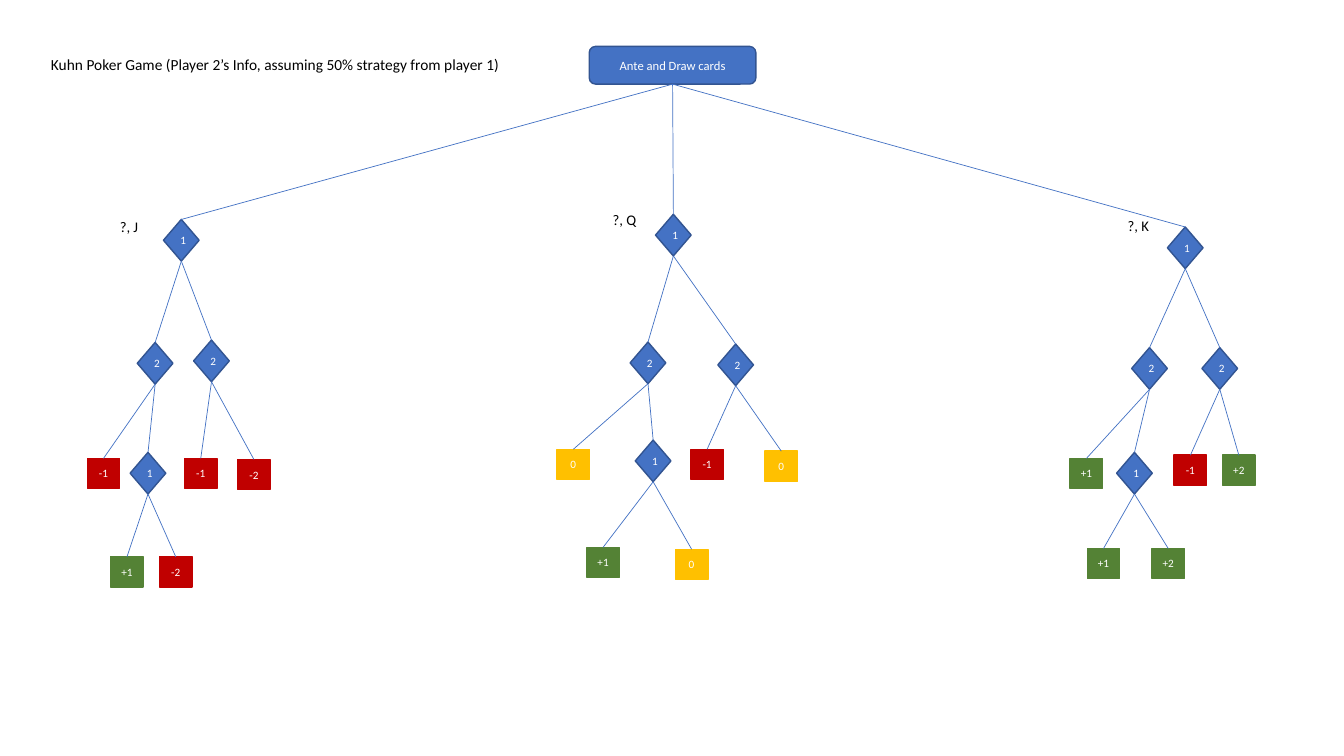
from lxml import etree
from pptx import Presentation
from pptx.dml.color import RGBColor
from pptx.enum.shapes import MSO_CONNECTOR, MSO_SHAPE
from pptx.enum.text import MSO_ANCHOR, MSO_AUTO_SIZE, PP_ALIGN
from pptx.oxml.ns import qn
from pptx.util import Cm, Pt

BLUE = RGBColor(0x44, 0x72, 0xC4)
DARK_BLUE = RGBColor(0x32, 0x54, 0x91)
GREEN = RGBColor(0x54, 0x82, 0x35)
RED = RGBColor(0xC0, 0x00, 0x00)
YELLOW = RGBColor(0xFF, 0xC0, 0x00)
WHITE = RGBColor(0xFF, 0xFF, 0xFF)
BLACK = RGBColor(0x00, 0x00, 0x00)

FONT = "Calibri"
PAYOFF_COLOURS = {"+": GREEN, "-": RED, "0": YELLOW}
TOP, BOTTOM = 0, 2

# Every tree has the same nine nodes; each entry is the index of a node's parent.
PARENTS = [None, 0, 0, 1, 1, 2, 2, 4, 4]

# Card label, its left and top, then the nodes as (text, centre x, top), in cm.
TREES = [
    ("?, J", 2.77, 5.36, [
        ("1", 4.57, 5.53), ("2", 3.91, 8.63), ("2", 5.33, 8.57),
        ("-1", 2.61, 11.55), ("1", 3.73, 11.4), ("-1", 5.06, 11.55),
        ("-2", 6.4, 11.58), ("+1", 3.2, 14.03), ("-2", 4.43, 14.03)]),
    ("?, Q", 15.19, 5.18, [
        ("1", 16.97, 5.4), ("2", 16.33, 8.62), ("2", 18.54, 8.67),
        ("0", 14.45, 11.32), ("1", 16.46, 11.09), ("-1", 17.82, 11.32),
        ("0", 19.69, 11.37), ("+1", 15.2, 13.79), ("0", 17.43, 13.84)]),
    ("?, K", 28.17, 5.33, [
        ("1", 29.87, 5.72), ("2", 28.97, 8.76), ("2", 30.74, 8.76),
        ("+1", 27.38, 11.55), ("1", 28.59, 11.4), ("-1", 30, 11.47),
        ("+2", 31.22, 11.47), ("+1", 27.81, 13.82), ("+2", 29.44, 13.82)]),
]


def write_text(shape, text, size, colour, alignment=PP_ALIGN.LEFT):
    shape.text_frame.text = text
    paragraph = shape.text_frame.paragraphs[0]
    paragraph.alignment = alignment
    font = paragraph.runs[0].font
    font.name, font.size, font.color.rgb = FONT, Pt(size), colour


def add_node(kind, text, centre, top, width, height, fill, outline, size=8):
    """Add a filled tree node, placed by the middle of its top edge."""
    node = slide.shapes.add_shape(
        kind, Cm(centre - width / 2), Cm(top), Cm(width), Cm(height))
    node.shadow.inherit = False
    node.fill.solid()
    node.fill.fore_color.rgb = fill
    node.line.color.rgb = outline
    node.line.width = Pt(1)
    node.text_frame.vertical_anchor = MSO_ANCHOR.MIDDLE
    write_text(node, text, size, WHITE, PP_ALIGN.CENTER)
    return node


presentation = Presentation()
presentation.slide_width = Cm(33.87)
presentation.slide_height = Cm(19.05)
slide = presentation.slides.add_slide(presentation.slide_layouts[5])

title = slide.shapes.title
title.left, title.top, title.width, title.height = Cm(1.03), Cm(1.27), Cm(12.15), Cm(0.73)
title.text_frame.word_wrap = True
title.text_frame.auto_size = MSO_AUTO_SIZE.NONE
title.text_frame.vertical_anchor = MSO_ANCHOR.TOP
write_text(title, "Kuhn Poker Game (Player 2’s Info, assuming 50% strategy from player 1)",
           11, BLACK)

start = add_node(MSO_SHAPE.ROUNDED_RECTANGLE, "Ante and Draw cards",
                 16.95, 1.17, 4.2, 0.95, BLUE, DARK_BLUE, size=9)

for card, label_left, label_top, entries in TREES:
    label = slide.shapes.add_textbox(Cm(label_left), Cm(label_top), Cm(1.12), Cm(0.71))
    label.text_frame.word_wrap = True
    write_text(label, card, 10.5, BLACK)

    nodes = []
    for index, (text, centre, top) in enumerate(entries):
        if index in PARENTS:
            node = add_node(MSO_SHAPE.DIAMOND, text, centre, top, 0.9, 1.05, BLUE, DARK_BLUE)
        else:
            colour = PAYOFF_COLOURS[text[0]]
            node = add_node(MSO_SHAPE.RECTANGLE, text, centre, top, 0.82, 0.76, colour, colour)
        nodes.append(node)

    for node, parent in zip(nodes, PARENTS):
        branch = slide.shapes.add_connector(MSO_CONNECTOR.STRAIGHT, 0, 0, 0, 0)
        branch.begin_connect(start if parent is None else nodes[parent], BOTTOM)
        branch.end_connect(node, TOP)
        branch.line.color.rgb = BLUE
        branch.line.width = Pt(0.5)
        etree.SubElement(branch._element.spPr, qn("a:effectLst"))

presentation.save("out.pptx")
